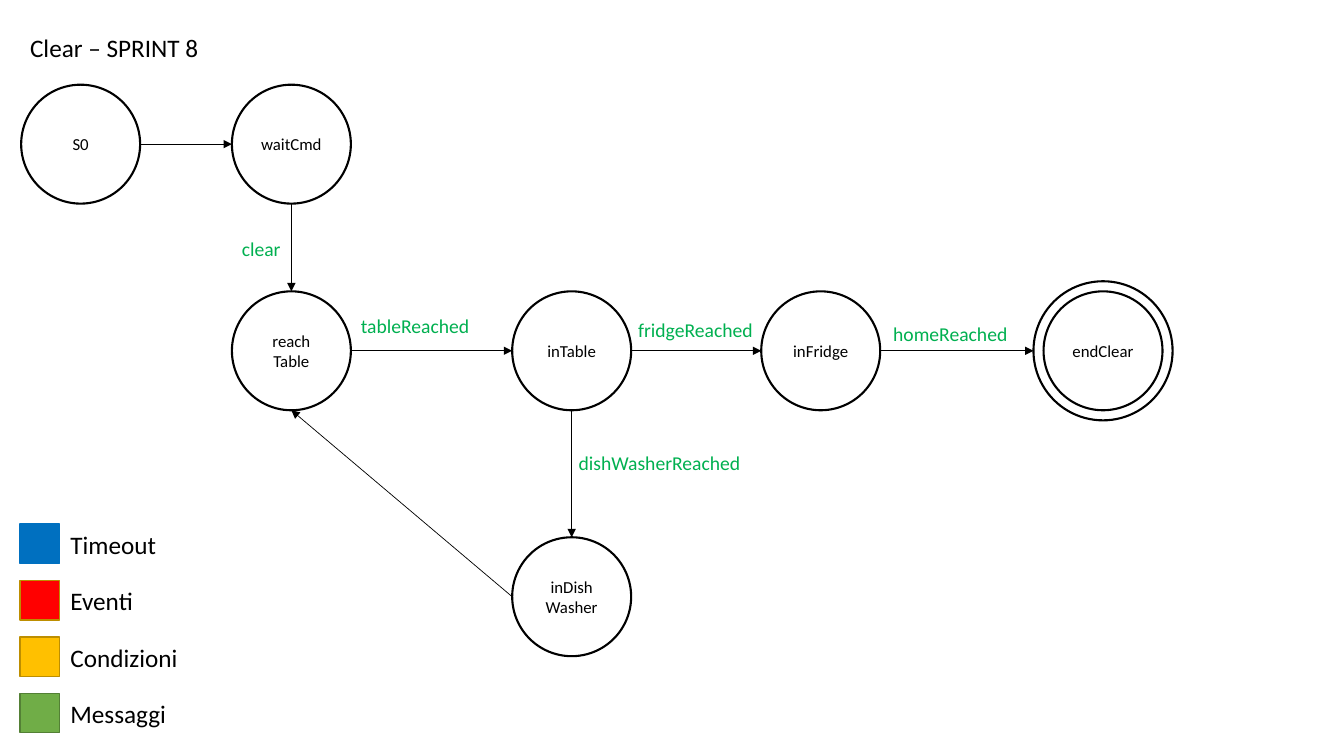
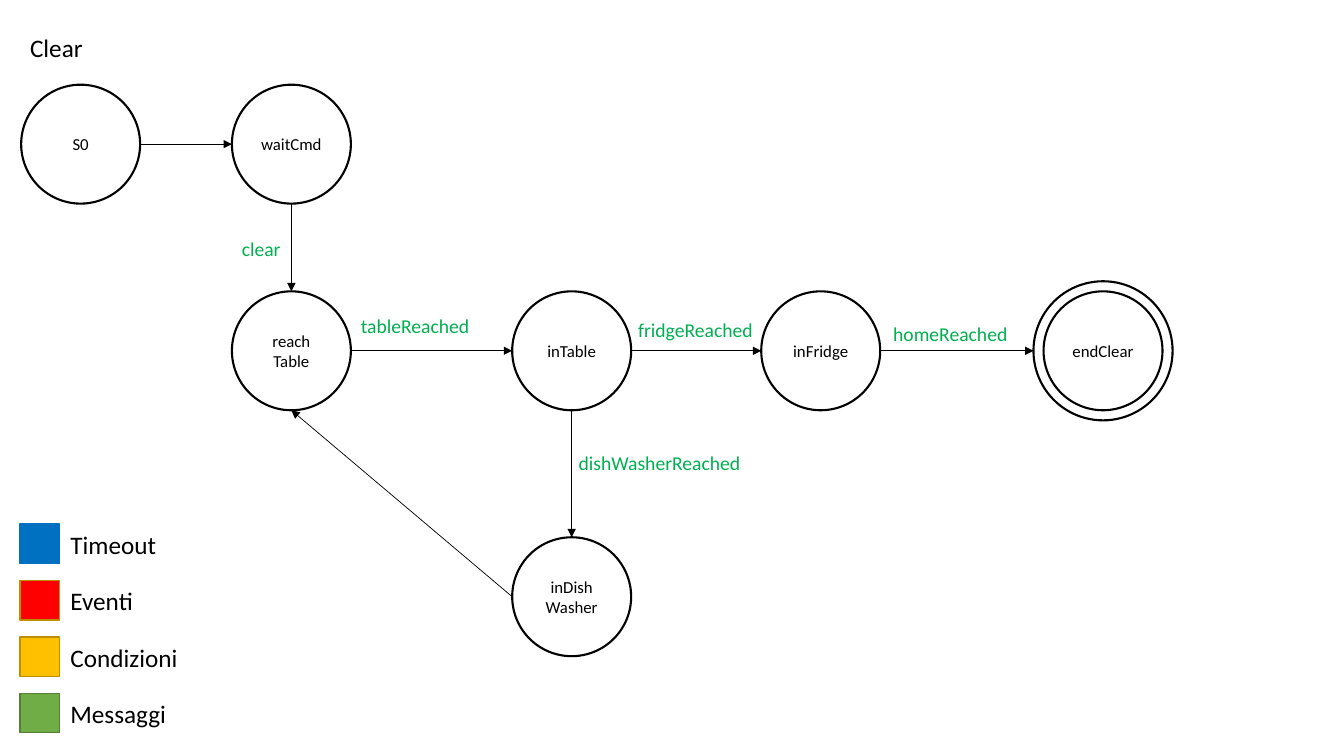
from lxml.etree import SubElement
from pptx import Presentation
from pptx.dml.color import RGBColor
from pptx.enum.shapes import MSO_CONNECTOR, MSO_SHAPE
from pptx.enum.text import MSO_ANCHOR, MSO_AUTO_SIZE, PP_ALIGN
from pptx.oxml.ns import qn
from pptx.util import Inches, Pt

HUES = {
    "ink": "000000", "paper": "FFFFFF", "label": "00B050",
    "blue": "0070C0", "red": "FF0000", "gold": "FFC000",
    "ochre": "BD8E00", "green": "70AD47", "moss": "538035",
}
FONT = "Calibri"
CELL = 0.1
NODE, RING = 11.8, 13.8
SITES = {"top": 0, "left": 2, "bottom": 4, "right": 6}

STATES = {
    "S0": (2.1, 8.4),
    "waitCmd": (23, 8.4),
    "reach Table": (23, 28.9),
    "inTable": (50.8, 28.9),
    "inFridge": (75.5, 28.9),
    "endClear": (103.5, 28.9),
    "inDish\nWasher": (50.8, 53.3),
}
MOVES = [
    ("S0", "right", "waitCmd", "left"),
    ("waitCmd", "bottom", "reach Table", "top"),
    ("reach Table", "right", "inTable", "left"),
    ("inTable", "right", "inFridge", "left"),
    ("inTable", "bottom", "inDish\nWasher", "top"),
    ("inFridge", "right", "ring", "left"),
    ("inDish\nWasher", "left", "reach Table", "bottom"),
]
LABELS = [
    ("clear", 23, 23, 5.9),
    ("tableReached", 34.8, 30.7, 12.9),
    ("fridgeReached", 62.3, 31.1, 13.5),
    ("homeReached", 87.6, 31.4, 13.5),
    ("dishWasherReached", 56.4, 44.2, 18.3),
]
LEGEND = [
    ("Timeout", "blue", "blue", 10.6),
    ("Eventi", "red", "ochre", 8.3),
    ("Condizioni", "gold", "ochre", 12.8),
    ("Messaggi", "green", "moss", 11.6),
]
TITLES = [("Clear – SPRINT 8", 18.9), ("Clear", 7.3)]


class Board:
    """Draws state diagrams on a grid of tenth-inch cells."""

    def __init__(self):
        self.deck = Presentation()
        self.deck.slide_width = Inches(13.33)
        self.deck.slide_height = Inches(7.5)
        self.slide = None

    def page(self):
        self.slide = self.deck.slides.add_slide(self.deck.slide_layouts[6])

    def size(self, *cells):
        return [Inches(cell * CELL) for cell in cells]

    def hue(self, name):
        return RGBColor.from_string(HUES[name])

    def style(self, frame, text, size, hue, align):
        frame.text = text
        for para in frame.paragraphs:
            para.alignment = align
            for run in para.runs:
                run.font.name = FONT
                run.font.size = Pt(size)
                run.font.color.rgb = self.hue(hue)

    def shape(self, kind, col, row, side, fill, edge, width):
        shape = self.slide.shapes.add_shape(kind, *self.size(col, row, side, side))
        shape.shadow.inherit = False
        shape.fill.solid()
        shape.fill.fore_color.rgb = self.hue(fill)
        shape.line.color.rgb = self.hue(edge)
        shape.line.width = Pt(width)
        return shape

    def circle(self, col, row, side=NODE):
        return self.shape(MSO_SHAPE.OVAL, col, row, side, "paper", "ink", 1.5)

    def state(self, name, col, row):
        node = self.circle(col, row)
        frame = node.text_frame
        frame.word_wrap = True
        frame.vertical_anchor = MSO_ANCHOR.MIDDLE
        self.style(frame, name, 12, "ink", PP_ALIGN.CENTER)
        return node

    def text(self, text, col, row, wide, size=18, hue="ink"):
        high = 4 if size == 18 else 3.4
        box = self.slide.shapes.add_textbox(*self.size(col, row, wide, high))
        frame = box.text_frame
        frame.word_wrap = False
        frame.auto_size = MSO_AUTO_SIZE.SHAPE_TO_FIT_TEXT
        self.style(frame, text, size, hue, PP_ALIGN.LEFT)

    def point(self, node, side):
        across = {"left": 0, "right": node.width}.get(side, node.width // 2)
        down = {"top": 0, "bottom": node.height}.get(side, node.height // 2)
        return node.left + across, node.top + down

    def arrow(self, start, out, end, into):
        line = self.slide.shapes.add_connector(
            MSO_CONNECTOR.STRAIGHT, *self.point(start, out), *self.point(end, into))
        line.line.color.rgb = self.hue("ink")
        line.line.width = Pt(0.5)
        props = line._element.spPr
        SubElement(props.find(qn("a:ln")), qn("a:tailEnd"), type="triangle")
        SubElement(props, qn("a:effectLst"))
        links = line._element.nvCxnSpPr.cNvCxnSpPr
        for tag, node, side in (("a:stCxn", start, out), ("a:endCxn", end, into)):
            SubElement(links, qn(tag), id=str(node.shape_id), idx=str(SITES[side]))

    def legend(self, col, row, step):
        for i, (name, fill, edge, wide) in enumerate(LEGEND):
            top = row + i * step
            self.shape(MSO_SHAPE.RECTANGLE, col, top, 3.9, fill, edge, 1)
            self.text(name, col + 4, top, wide)

    def chart(self, title, wide):
        self.page()
        self.text(title, 2, 2.7, wide)
        col, row = STATES["endClear"]
        gap = (RING - NODE) / 2
        nodes = {"ring": self.circle(col - gap, row - gap, RING)}
        for name, spot in STATES.items():
            nodes[name] = self.state(name, *spot)
        for start, out, end, into in MOVES:
            self.arrow(nodes[start], out, nodes[end], into)
        for name, col, row, span in LABELS:
            self.text(name, col, row, span, 14, "label")
        self.legend(2, 52, 5.6)


def main():
    board = Board()
    for title, wide in TITLES:
        board.chart(title, wide)
    board.deck.save("out.pptx")


if __name__ == "__main__":
    main()
